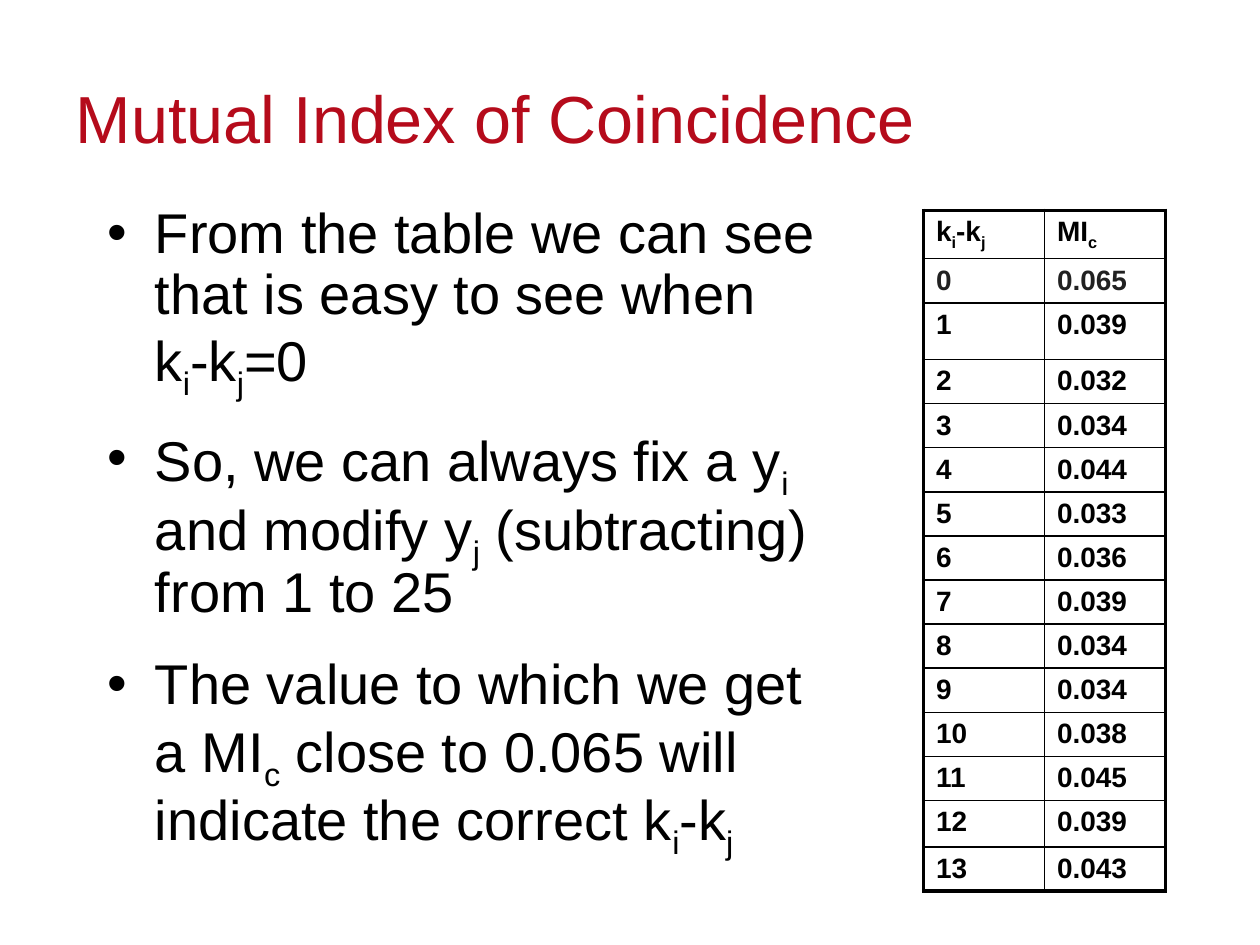
from lxml.etree import SubElement
from pptx import Presentation
from pptx.dml.color import RGBColor
from pptx.enum.text import MSO_ANCHOR, MSO_AUTO_SIZE, PP_ALIGN
from pptx.oxml.ns import qn
from pptx.util import Inches, Pt

# Content: text between two underscores is subscript, a newline is a line break
TITLE = "Mutual Index of Coincidence"
POINTS = [
    "From the table we can see that is easy to see when\nk_i_-k_j_=0",
    "So, we can always fix a y_i_ and modify y_j_ (subtracting) from 1 to 25",
    "The value to which we get a MI_c_ close to 0.065 will indicate the correct k_i_-k_j_",
]
HEADER = ("k_i_-k_j_", "MI_c_")
MI_VALUES = ["0.065", "0.039", "0.032", "0.034", "0.044", "0.033", "0.036",
             "0.039", "0.034", "0.034", "0.038", "0.045", "0.039", "0.043"]
ROWS = [HEADER] + [(str(shift), value) for shift, value in enumerate(MI_VALUES)]

# Table measures
ROW_HEIGHT = 0.35
SPECIAL_HEIGHTS = {0: 0.38, 2: 0.45, 13: 0.37}
COLUMN_WIDTH = 0.96
OUTER_LINE, INNER_LINE = 2.25, 1

FONT = "Arial"
RED, BLACK, DARK_GREY = "B50B1B", "000000", "212121"
MATCH_ROW = 1


def color(hex_code):
    return RGBColor.from_string(hex_code)


def style(paragraph, size, hex_code, bold=False):
    font = paragraph.font
    font.name, font.size, font.bold = FONT, Pt(size), bold
    font.color.rgb = color(hex_code)


def write(paragraph, marked_text):
    for line_number, line in enumerate(marked_text.split("\n")):
        if line_number:
            paragraph.add_line_break()
        for position, piece in enumerate(line.split("_")):
            if piece:
                run = paragraph.add_run()
                run.text = piece
                if position % 2:
                    run._r.get_or_add_rPr().set("baseline", "-25000")


def add_bullet(paragraph):
    properties = paragraph._p.get_or_add_pPr()
    properties.set("marL", str(Inches(0.38)))
    properties.set("indent", str(-Inches(0.38)))
    SubElement(properties, qn("a:buChar")).set("char", "•")


def add_border(cell, side, width):
    line = SubElement(cell._tc.get_or_add_tcPr(), qn(f"a:ln{side}"), w=str(Pt(width)))
    fill = SubElement(line, qn("a:solidFill"))
    SubElement(fill, qn("a:srgbClr"), val=BLACK)


def place(shape, left, top, width, height):
    shape.left, shape.top = Inches(left), Inches(top)
    shape.width, shape.height = Inches(width), Inches(height)


prs = Presentation()
prs.slide_width, prs.slide_height = Inches(10), Inches(7.5)
slide = prs.slides.add_slide(prs.slide_layouts[1])

# Title
title = slide.shapes.title
place(title, 0.5, 0.3, 9, 1.25)
title.text_frame.text = TITLE
title.text_frame.vertical_anchor = MSO_ANCHOR.MIDDLE
title.text_frame.paragraphs[0].alignment = PP_ALIGN.LEFT
style(title.text_frame.paragraphs[0], 38, RED)

# Bullet points
body = slide.placeholders[1]
place(body, 0.75, 1.58, 6, 4.5)
body.text_frame.auto_size = MSO_AUTO_SIZE.NONE
for number, point in enumerate(POINTS):
    paragraph = body.text_frame.add_paragraph() if number else body.text_frame.paragraphs[0]
    add_bullet(paragraph)
    write(paragraph, point)
    paragraph.line_spacing = 0.9
    paragraph.space_before = Pt(6 if number else 0)
    paragraph.space_after = Pt(12)
    style(paragraph, 32, BLACK)

# Table of index values
heights = [SPECIAL_HEIGHTS.get(row, ROW_HEIGHT) for row in range(len(ROWS))]
last_row, last_column = len(ROWS) - 1, len(HEADER) - 1
table = slide.shapes.add_table(
    len(ROWS), len(HEADER), Inches(7.33), Inches(1.67),
    Inches(COLUMN_WIDTH * len(HEADER)), Inches(sum(heights))).table
table.first_row = table.horz_banding = False
for column in table.columns:
    column.width = Inches(COLUMN_WIDTH)

for r, (values, height) in enumerate(zip(ROWS, heights)):
    table.rows[r].height = Inches(height)
    for c, value in enumerate(values):
        cell = table.cell(r, c)
        paragraph = cell.text_frame.paragraphs[0]
        write(paragraph, value)
        style(paragraph, 16, DARK_GREY if r == MATCH_ROW else BLACK, bold=True)
        outer_sides = {"L": c == 0, "R": c == last_column, "T": r == 0, "B": r == last_row}
        for side, is_outer in outer_sides.items():
            add_border(cell, side, OUTER_LINE if is_outer else INNER_LINE)
        cell.fill.background()

prs.save("out.pptx")
